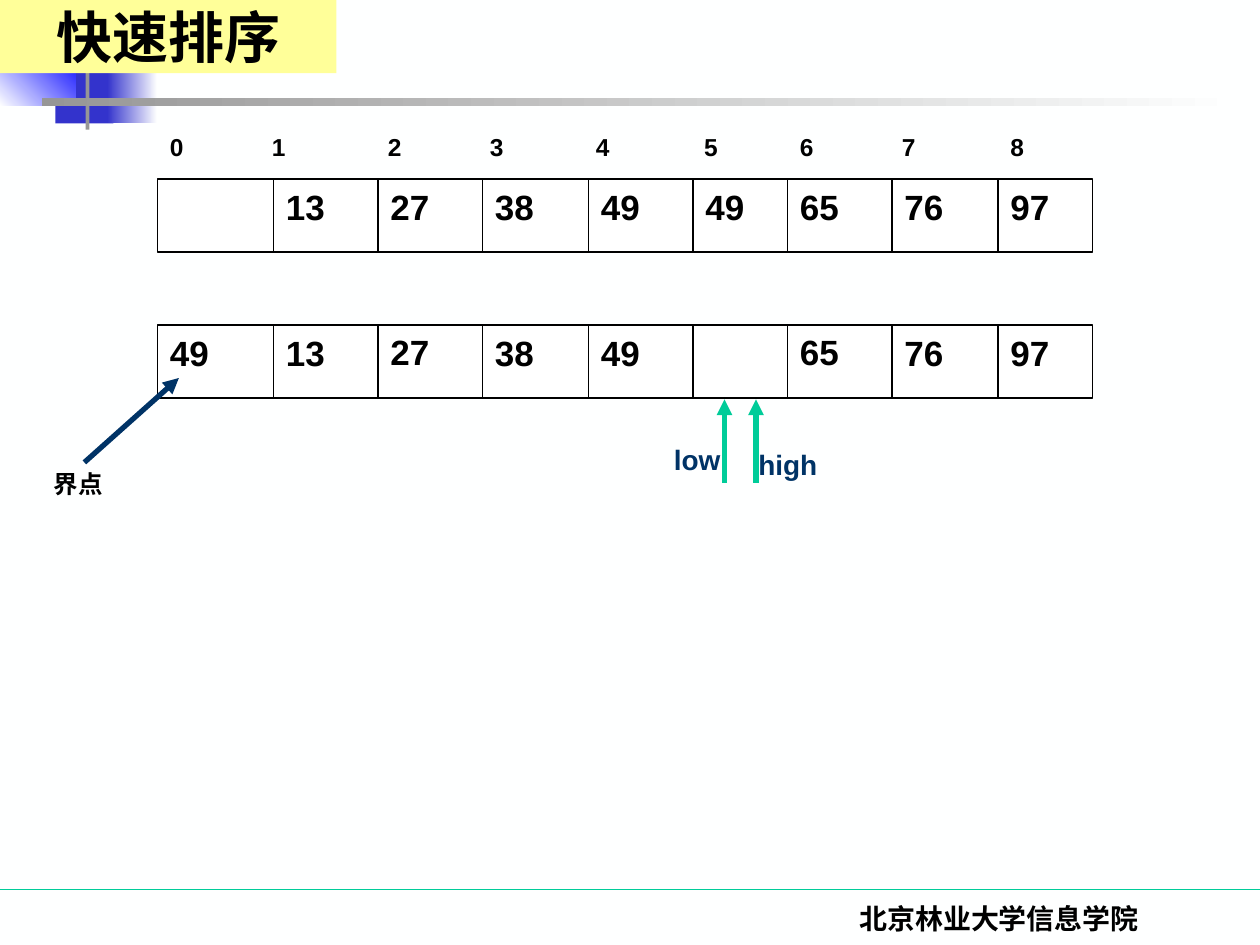
from lxml.etree import SubElement
from pptx import Presentation
from pptx.dml.color import RGBColor
from pptx.enum.shapes import MSO_CONNECTOR, MSO_SHAPE
from pptx.enum.text import MSO_ANCHOR, PP_ALIGN
from pptx.oxml.ns import qn
from pptx.util import Inches, Pt

PAPER = RGBColor(0xFE, 0xFF, 0xFF)
WHITE = RGBColor(0xFF, 0xFF, 0xFF)
BLACK = RGBColor(0x00, 0x00, 0x00)
GREEN = RGBColor(0x00, 0xCC, 0x99)
NAVY = RGBColor(0x00, 0x33, 0x66)
INDIGO = RGBColor(0x33, 0x33, 0xCC)
BLUE = RGBColor(0x00, 0x00, 0xFF)
GRAY = RGBColor(0x96, 0x96, 0x96)
YELLOW = RGBColor(0xFF, 0xFF, 0x99)

ARRAY_LEFT, ARRAY_WIDTH, ARRAY_HEIGHT = 1.25, 7.42, 0.58
CELL_LEFTS = [1.25, 2.17, 3, 3.83, 4.67, 5.5, 6.25, 7.08, 7.92]
INDEX_TABS = [0.81, 1.73, 2.54, 3.38, 4.24, 5, 5.81, 6.67]

SORTED_ROW = ["", "13", "27", "38", "49", "49", "65", "76", "97"]
PIVOT_ROW = ["49", "13", "27", "38", "49", "", "65", "76", "97"]
RAISED_VALUES = ("27", "65")


def format_paragraph(paragraph, text, size, font_name="Arial", color=BLACK,
                     alignment=PP_ALIGN.LEFT):
    paragraph.text = text
    paragraph.alignment = alignment
    font_format = {"name": font_name, "size": Pt(size), "bold": True}
    for attribute, value in font_format.items():
        setattr(paragraph.font, attribute, value)
    paragraph.font.color.rgb = color


def add_text(slide, box, text, size, tabs=(), **text_format):
    shape = slide.shapes.add_textbox(*map(Inches, box))
    shape.text_frame.word_wrap = True
    paragraph = shape.text_frame.paragraphs[0]
    if tabs:
        tab_list = SubElement(paragraph._p.get_or_add_pPr(), qn("a:tabLst"))
        for position in tabs:
            SubElement(tab_list, qn("a:tab"), pos=str(Inches(position)), algn="l")
    format_paragraph(paragraph, text, size, **text_format)


def add_rectangle(slide, box, color, end_color=None, angle=0, line_color=None):
    shape = slide.shapes.add_shape(MSO_SHAPE.RECTANGLE, *map(Inches, box))
    shape.shadow.inherit = False
    if end_color is None:
        shape.fill.solid()
        shape.fill.fore_color.rgb = color
    else:
        shape.fill.gradient()
        shape.fill.gradient_angle = angle
        for stop, stop_color in zip(shape.fill.gradient_stops, (color, end_color)):
            stop.color.rgb = stop_color
    if line_color is None:
        shape.line.fill.background()
    else:
        shape.line.color.rgb = line_color
        shape.line.width = Pt(0.75)
    return shape


def add_line(slide, start, end, color=BLACK, width=0.75, arrow=False):
    connector = slide.shapes.add_connector(
        MSO_CONNECTOR.STRAIGHT, *map(Inches, (*start, *end)))
    connector.line.color.rgb = color
    connector.line.width = Pt(width)
    if arrow:
        SubElement(connector.line._get_or_add_ln(), qn("a:tailEnd"), type="triangle")
    SubElement(connector._element.spPr, qn("a:effectLst"))


def add_decoration(slide):
    add_line(slide, (0, 7.06), (10, 7.06), GREEN)
    add_rectangle(slide, (0.44, 0.46, 0.46, 0.52), INDIGO)
    add_rectangle(slide, (0.85, 0.46, 0.4, 0.52), INDIGO, PAPER)
    add_rectangle(slide, (0, 0.38, 0.6, 0.46), PAPER, BLUE, angle=45)
    add_rectangle(slide, (0.68, 0, 0.03, 1.03), GRAY)
    add_rectangle(slide, (0.33, 0.78, 9.51, 0.06), GRAY, PAPER)


def add_array(slide, top, values, raised=()):
    add_rectangle(slide, (ARRAY_LEFT, top, ARRAY_WIDTH, ARRAY_HEIGHT), WHITE,
                  line_color=BLACK)
    for left in CELL_LEFTS[1:]:
        add_line(slide, (left, top), (left, top + ARRAY_HEIGHT))
    for left, value in zip(CELL_LEFTS, values):
        if value:
            text_top = top - 0.01 if value in raised else top
            add_text(slide, (left, text_top, 0.67, 0.44), value, 20)


def add_pointer(slide, arrow_x, label, label_left, label_top):
    add_line(slide, (arrow_x, 3.83), (arrow_x, 3.17), GREEN, 3, arrow=True)
    add_text(slide, (label_left, label_top, 0.92, 0.37), label, 16, color=NAVY)


def add_title(slide, text):
    shape = add_rectangle(slide, (0, 0, 2.67, 0.58), YELLOW)
    shape.text_frame.vertical_anchor = MSO_ANCHOR.MIDDLE
    format_paragraph(shape.text_frame.paragraphs[0], text, 32,
                     font_name="Times New Roman", alignment=PP_ALIGN.CENTER)


def main():
    presentation = Presentation()
    presentation.slide_width = Inches(10)
    presentation.slide_height = Inches(7.5)
    slide = presentation.slides.add_slide(presentation.slide_layouts[6])
    slide.background.fill.solid()
    slide.background.fill.fore_color.rgb = PAPER

    add_decoration(slide)
    add_text(slide, (5.86, 7.11, 4.14, 0.5), "北京林业大学信息学院", 16,
             font_name="Times New Roman", alignment=PP_ALIGN.CENTER)
    add_text(slide, (ARRAY_LEFT, 1, ARRAY_WIDTH, 0.34),
             "\t".join(map(str, range(len(CELL_LEFTS)))), 14, tabs=INDEX_TABS)
    add_array(slide, 1.42, SORTED_ROW)
    add_array(slide, 2.58, PIVOT_ROW, RAISED_VALUES)
    add_pointer(slide, 6, "high", 5.92, 3.5)
    add_pointer(slide, 5.75, "low", 5.25, 3.46)
    add_text(slide, (0.33, 3.67, 0.83, 0.34), "界点", 14)
    add_line(slide, (0.67, 3.67), (1.42, 3), NAVY, 3, arrow=True)
    add_title(slide, "快速排序")
    presentation.save("out.pptx")


if __name__ == "__main__":
    main()
